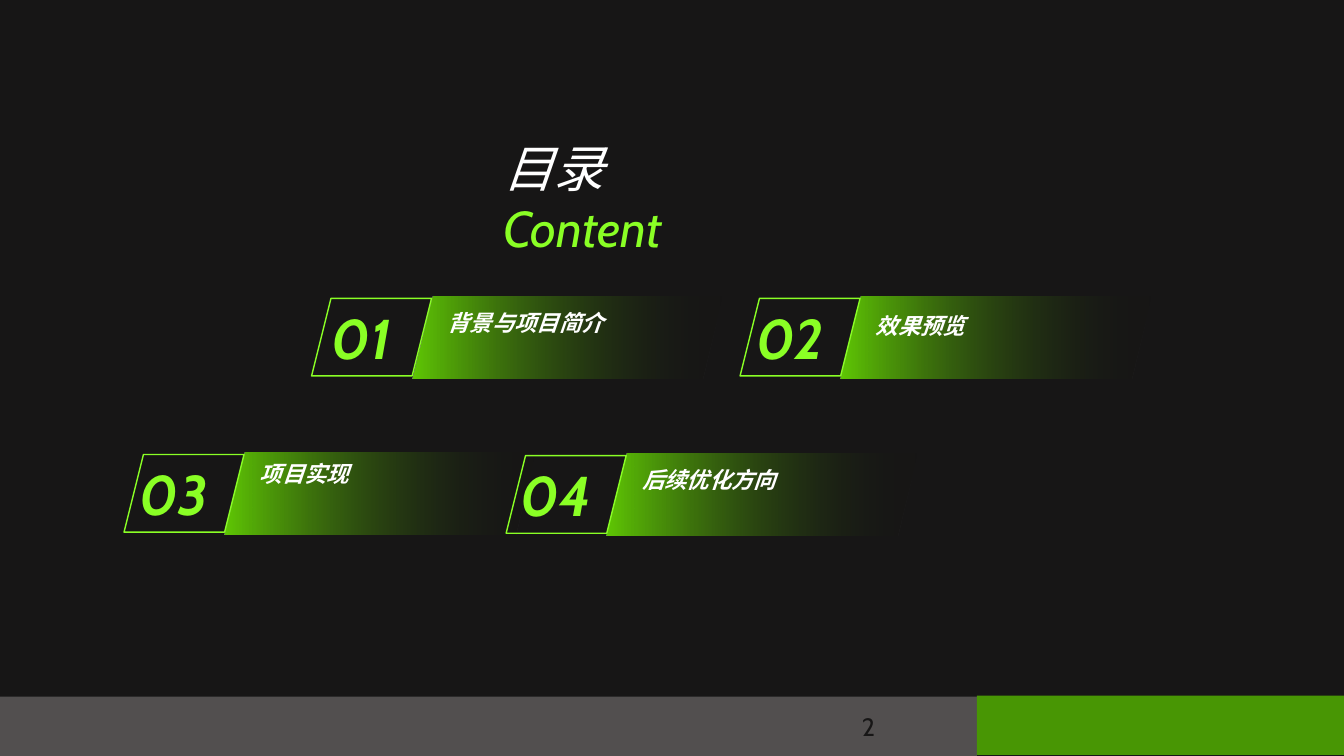
import pptx
import pptx.dml.color
import pptx.enum.shapes
import pptx.enum.text
import pptx.oxml
import pptx.oxml.ns
import pptx.util

Inches = pptx.util.Inches
Pt = pptx.util.Pt
SHAPES = pptx.enum.shapes.MSO_SHAPE
ALIGN = pptx.enum.text.PP_ALIGN
ANCHOR = pptx.enum.text.MSO_ANCHOR


class ContentsSlide:
    font_name = "Cabin"
    colors = {
        "dark": "171616",
        "gray": "524F4F",
        "green": "489604",
        "bar": "60C805",
        "lime": "8AFF25",
        "white": "FFFFFF",
    }

    def __init__(self, presentation):
        self.slide = presentation.slides.add_slide(presentation.slide_layouts[5])
        fill = self.slide.background.fill
        fill.solid()
        fill.fore_color.rgb = self.color("dark")

    def color(self, name):
        return pptx.dml.color.RGBColor.from_string(self.colors[name])

    def style(self, font, size, color, bold=False, italic=False):
        font.name = self.font_name
        font.size = Pt(size)
        font.bold = bold
        font.italic = italic
        font.color.rgb = self.color(color)

    def title(self, parts, left, top, width, height):
        title = self.slide.shapes.title
        title.left, title.top = Inches(left), Inches(top)
        title.width, title.height = Inches(width), Inches(height)
        frame = title.text_frame
        frame.word_wrap = False
        frame.auto_size = pptx.enum.text.MSO_AUTO_SIZE.NONE
        frame.vertical_anchor = ANCHOR.TOP
        paragraph = frame.paragraphs[0]
        paragraph.alignment = ALIGN.LEFT
        for text, color in parts:
            run = paragraph.add_run()
            run.text = text
            self.style(run.font, 36, color, italic=True)

    def shape(self, kind, left, top, width, height, parent=None):
        shape = (parent or self.slide).shapes.add_shape(
            kind, Inches(left), Inches(top), Inches(width), Inches(height))
        shape.shadow.inherit = False
        return shape

    def band(self, color, left, top, width, height):
        band = self.shape(SHAPES.RECTANGLE, left, top, width, height)
        band.fill.solid()
        band.fill.fore_color.rgb = self.color(color)
        band.line.fill.background()

    def fading_bar(self, group, left, top):
        bar = self.shape(SHAPES.PARALLELOGRAM, left, top, 3.08, 0.81, group)
        bar.line.fill.background()
        bar.fill.gradient()
        bar.fill.gradient_angle = 180
        stops = bar.fill.gradient_stops
        for stop, position, color in zip(stops, (0, 1), ("dark", "bar")):
            stop.position = position
            stop.color.rgb = self.color(color)
        qn = pptx.oxml.ns.qn
        clear_color = next(bar._element.spPr.iter(qn("a:srgbClr")))
        clear_color.append(pptx.oxml.parse_xml(
            f'<a:alpha {pptx.oxml.ns.nsdecls("a")} val="0"/>'))

    def outline(self, group, left, top):
        outline = self.shape(SHAPES.PARALLELOGRAM, left, top, 1.19, 0.77, group)
        outline.fill.background()
        outline.line.color.rgb = self.color("lime")
        outline.line.width = Pt(1)

    def text(self, text, left, top, width, height, size, color, parent=None,
             strong=False, align=ALIGN.LEFT, spacing=None, wrap=False):
        box = (parent or self.slide).shapes.add_textbox(
            Inches(left), Inches(top), Inches(width), Inches(height))
        box.text_frame.word_wrap = wrap
        paragraph = box.text_frame.paragraphs[0]
        paragraph.text = text
        paragraph.alignment = align
        paragraph.line_spacing = spacing
        self.style(paragraph.font, size, color, bold=strong, italic=strong)

    def entry(self, number, label, left, top, label_offset=0.06, spacing=None):
        group = self.slide.shapes.add_group_shape()
        self.fading_bar(group, left + 1, top - 0.02)
        self.text(label, left + 1.25, top + label_offset, 1.87, 0.38, 16,
                  "white", group, strong=True, spacing=spacing)
        self.text(f"{number:02}", left, top, 0.99, 0.34, 40,
                  "lime", group, strong=True, align=ALIGN.CENTER)
        self.outline(group, left, top)


def main():
    presentation = pptx.Presentation()
    presentation.slide_width = Inches(13.33)
    presentation.slide_height = Inches(7.5)

    contents = ContentsSlide(presentation)
    contents.band("gray", 0, 6.91, 9.69, 0.59)
    contents.band("green", 9.69, 6.9, 3.64, 0.59)
    contents.title([("目录 ", "white"), ("Content", "lime")], 4.89, 1.31, 2.86, 0.64)
    contents.entry(1, "背景与项目简介", 3.09, 2.96)
    contents.entry(2, "效果预览", 7.34, 2.96, label_offset=0.09)
    contents.entry(3, "项目实现", 1.23, 4.51, spacing=0.8)
    contents.entry(4, "后续优化方向", 5.02, 4.52)
    contents.text("2", 8.45, 7.01, 3, 0.4, 18, "dark", wrap=True)

    presentation.save("out.pptx")


if __name__ == "__main__":
    main()
